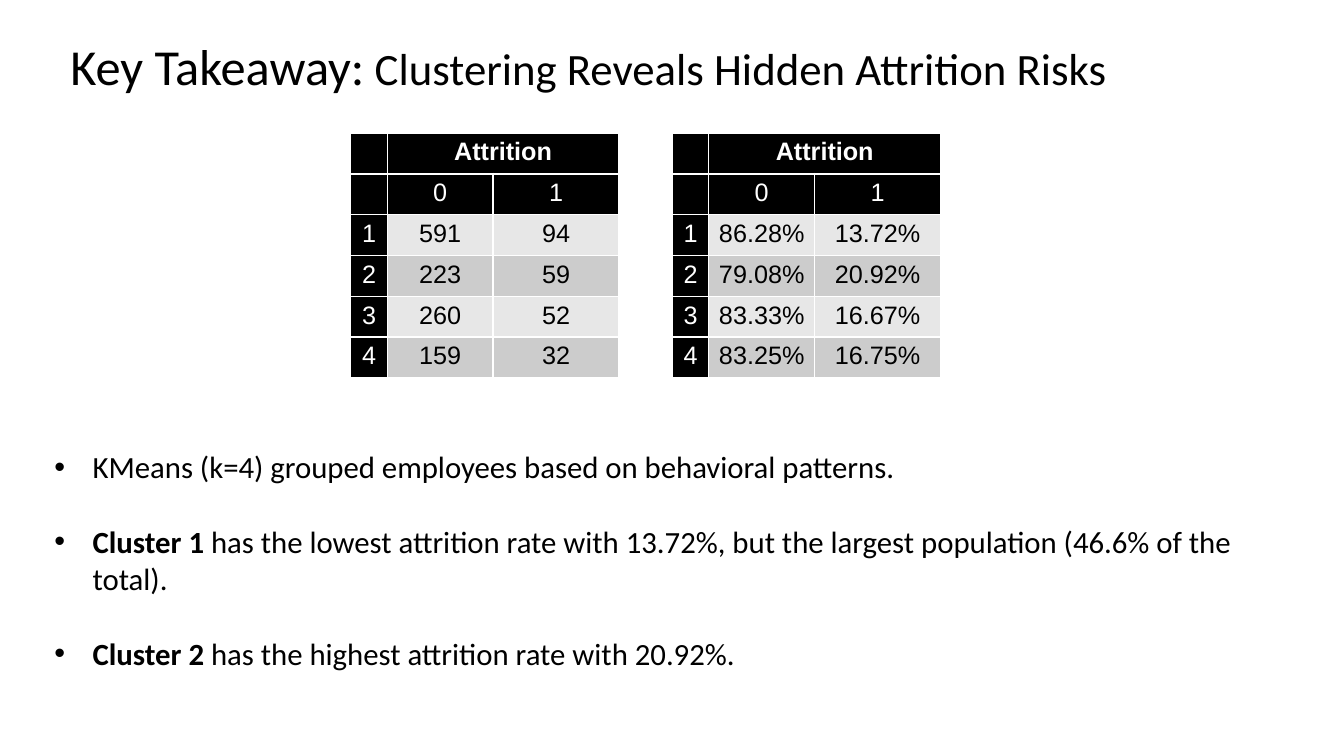
"""Builds the slide on clustering and attrition risks."""
from lxml import etree
from pptx import Presentation, util as u
from pptx.dml.color import RGBColor
from pptx.enum import text
from pptx.oxml.ns import qn

COLORS = {"black": "000000", "white": "FFFFFF", "light": "E7E7E7", "dark": "CCCCCC"}
TITLE = [("Key Takeaway:", 36), (" Clustering Reveals Hidden Attrition Risks", 32)]
COUNTS = [("591", "94"), ("223", "59"), ("260", "52"), ("159", "32")]
RATES = [("86.28%", "13.72%"), ("79.08%", "20.92%"), ("83.33%", "16.67%"), ("83.25%", "16.75%")]
TABLES = [(3.48, COUNTS), (6.67, RATES)]
TAKEAWAYS = [
    [("KMeans (k=4) grouped employees based on behavioral patterns.", False)],
    [("Cluster 1", True),
     (" has the lowest attrition rate with 13.72%, but the largest population (46.6% of the total).", False)],
    [("Cluster\u00a02".replace("\u00a0", " "), True), (" has the highest attrition rate with 20.92%.", False)],
]
COLUMN_WIDTHS = [0.36, 1.05, 1.25]
TABLE_TOP, ROW_HEIGHT = 1.32, 0.405


def add_run(paragraph, words, size=18, font="Calibri", color="black", bold=False):
    run = paragraph.add_run()
    run.text = words
    run.font.size = u.Pt(size)
    run.font.name = font
    run.font.bold = bold
    run.font.color.rgb = RGBColor.from_string(COLORS[color])


def add_text_frame(slide, left, top, width, height, anchor):
    box = slide.shapes.add_textbox(*map(u.Inches, (left, top, width, height)))
    box.text_frame.word_wrap = True
    box.text_frame.vertical_anchor = anchor
    return box.text_frame


def add_bullet(paragraph, indent):
    properties = paragraph._p.get_or_add_pPr()
    properties.set("marL", str(u.Inches(indent)))
    properties.set("indent", str(u.Inches(-indent)))
    etree.SubElement(properties, qn("a:buFont")).set("typeface", "Arial")
    etree.SubElement(properties, qn("a:buChar")).set("char", "•")


def fill_cell(cell, words, fill, header, heading):
    properties = cell._tc.get_or_add_tcPr()
    if heading:
        border = etree.SubElement(properties, qn("a:lnB"), w=str(u.Pt(2)))
        solid = etree.SubElement(border, qn("a:solidFill"))
        etree.SubElement(solid, qn("a:srgbClr"), val=COLORS["white"])
    cell.fill.solid()
    cell.fill.fore_color.rgb = RGBColor.from_string(COLORS[fill])
    cell.margin_left = cell.margin_right = u.Inches(0.05)
    paragraph = cell.text_frame.paragraphs[0]
    paragraph.alignment = text.PP_ALIGN.CENTER
    if words:
        add_run(paragraph, words, font="Arial", color="white" if header else "black", bold=heading)


def add_attrition_table(slide, left, values):
    rows = [("", "Attrition", ""), ("", "0", "1")]
    rows += [(str(cluster), *pair) for cluster, pair in enumerate(values, 1)]
    frame = slide.shapes.add_table(
        len(rows), len(COLUMN_WIDTHS), u.Inches(left), u.Inches(TABLE_TOP),
        u.Inches(sum(COLUMN_WIDTHS)), u.Inches(ROW_HEIGHT * len(rows)))
    table = frame.table
    for column, width in zip(table.columns, COLUMN_WIDTHS):
        column.width = u.Inches(width)
    table.cell(0, 1).merge(table.cell(0, 2))
    for row_index, row in enumerate(rows):
        table.rows[row_index].height = u.Inches(ROW_HEIGHT)
        band = "dark" if row_index % 2 else "light"
        for column_index, words in enumerate(row):
            header = row_index < 2 or column_index == 0
            fill_cell(table.cell(row_index, column_index), words,
                      "black" if header else band, header, row_index == 0)


def main():
    presentation = Presentation()
    presentation.slide_width, presentation.slide_height = u.Inches(13.33), u.Inches(7.5)
    slide = presentation.slides.add_slide(presentation.slide_layouts[6])

    title = add_text_frame(slide, 0.6, 0.3, 11.56, 0.7, text.MSO_ANCHOR.MIDDLE)
    for words, size in TITLE:
        add_run(title.paragraphs[0], words, size=size)

    for left, values in TABLES:
        add_attrition_table(slide, left, values)

    body = add_text_frame(slide, 0.44, 4.23, 12.45, 2.48, text.MSO_ANCHOR.BOTTOM)
    for index, runs in enumerate(TAKEAWAYS):
        paragraph = body.add_paragraph() if index else body.paragraphs[0]
        paragraph.space_before = u.Pt(27 if index else 0)
        add_bullet(paragraph, 0.38)
        for words, bold in runs:
            add_run(paragraph, words, size=22, bold=bold)

    presentation.save("out.pptx")


if __name__ == "__main__":
    main()
